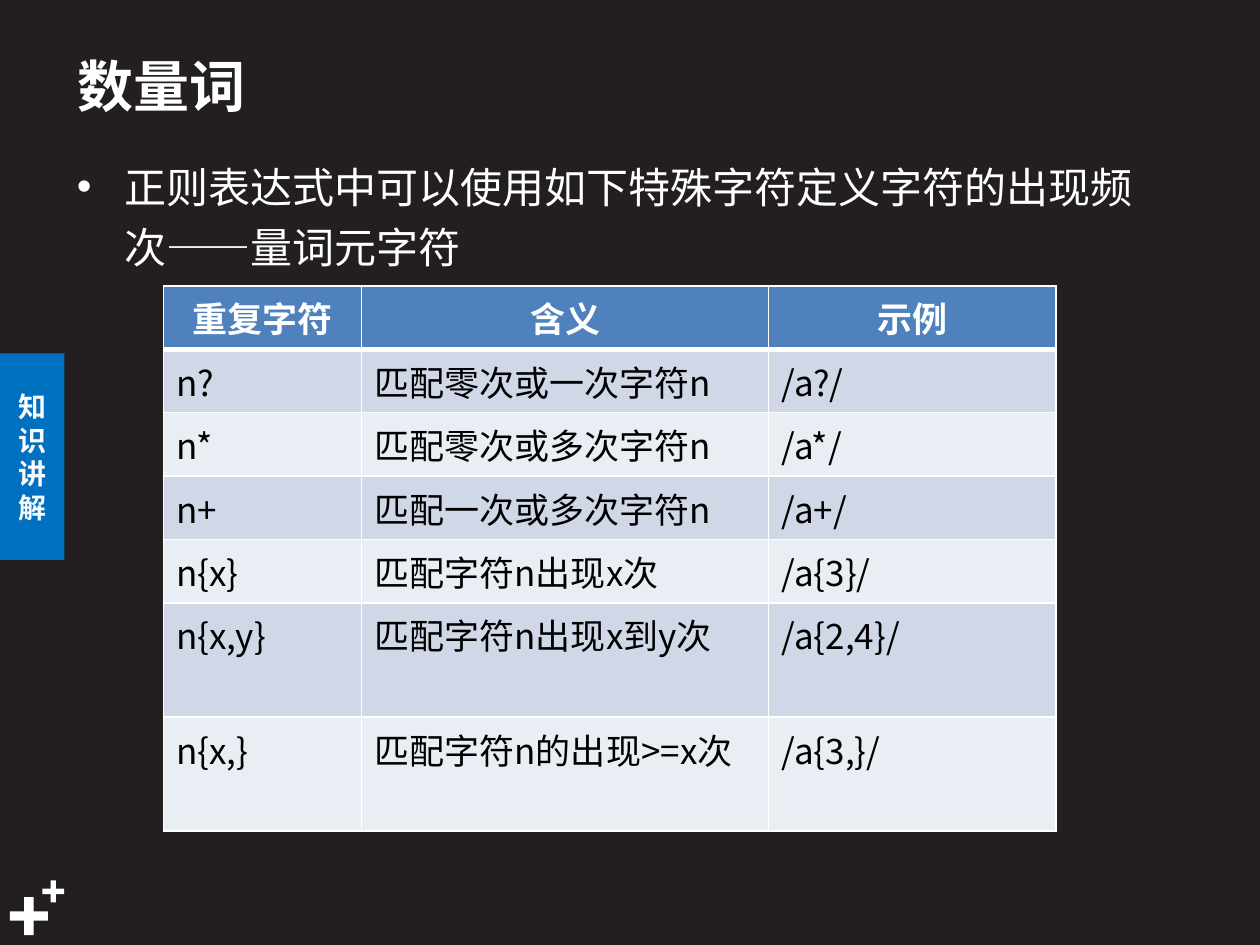
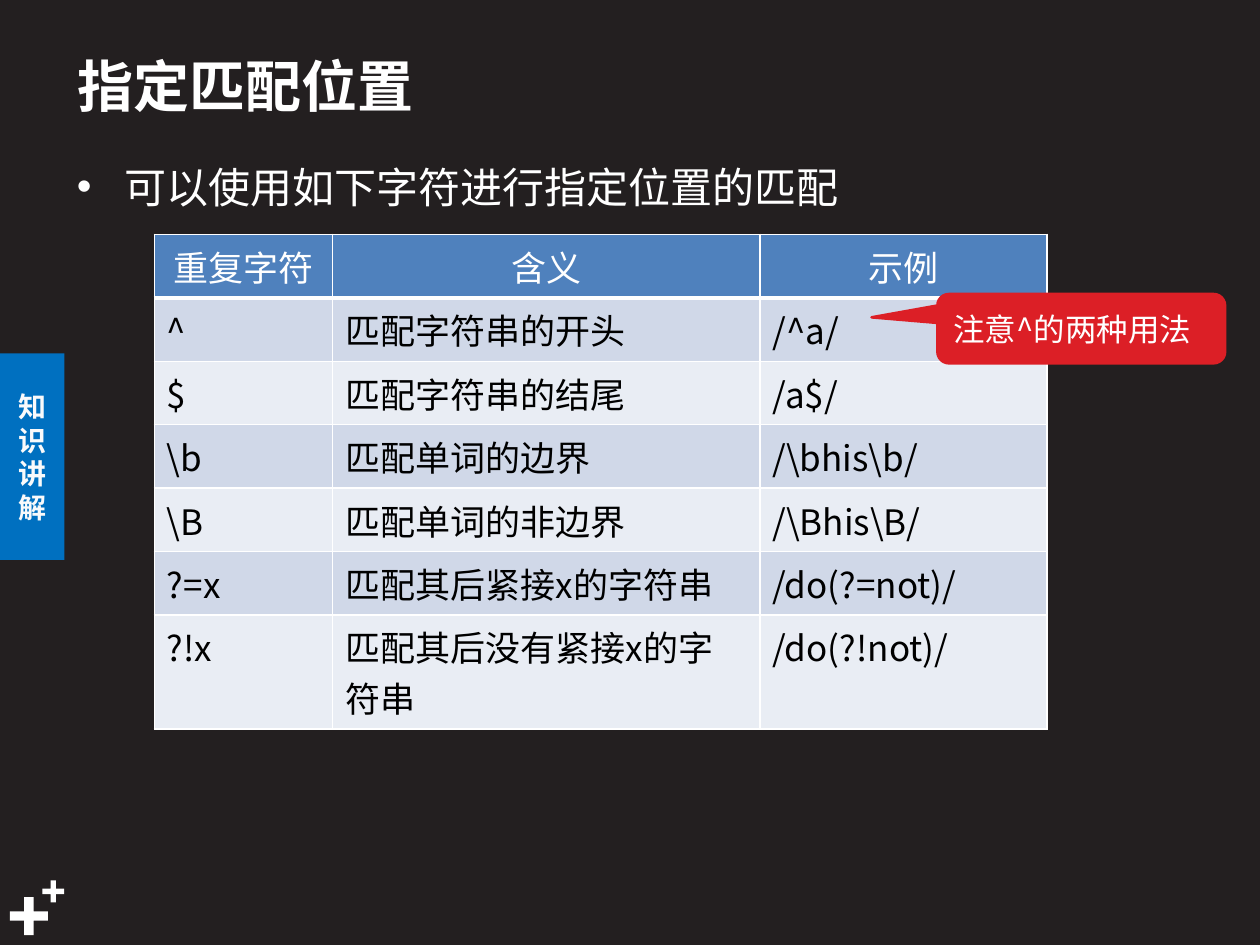
import pptx
import pptx.dml.color
import pptx.enum.shapes
import pptx.enum.text
import pptx.oxml
import pptx.oxml.ns
import pptx.util

Pt = pptx.util.Pt
RGBColor = pptx.dml.color.RGBColor
MSO_SHAPE = pptx.enum.shapes.MSO_SHAPE
PP_ALIGN = pptx.enum.text.PP_ALIGN
MSO_ANCHOR = pptx.enum.text.MSO_ANCHOR

FONT = "Noto Sans CJK SC"
DARK = RGBColor(0x23, 0x1F, 0x20)
WHITE = RGBColor(0xFF, 0xFF, 0xFF)
BLACK = RGBColor(0, 0, 0)
TAB_BLUE = RGBColor(0x00, 0x70, 0xC0)
TAB_TEXT = RGBColor(0xF9, 0xFA, 0xFB)
HEADER_BLUE = RGBColor(0x4F, 0x81, 0xBD)
BANDS = (RGBColor(0xD0, 0xD8, 0xE8), RGBColor(0xE9, 0xED, 0xF4))
RED = RGBColor(0xDC, 0x1F, 0x26)

TAB_BOX = (0, 202, 36.8, 118)
PLUS_BOXES = ((5.6, 512.6, 21.8, 21.8), (24.2, 503.1, 12.5, 12.5))
TITLE_BOX = (37.1, 20.4, 532.8, 56.2)
BULLET_BOX = (36.8, 82.8, 635, 77)
BULLET_INDENT = 27
ROW_HEIGHT = 36.25
TWO_LINE_ROW_HEIGHT = 65.2
HEADINGS = ("重复字符", "含义", "示例")

QUANTIFIERS = (
    ("n?", "匹配零次或一次字符n", "/a?/"),
    ("n*", "匹配零次或多次字符n", "/a*/"),
    ("n+", "匹配一次或多次字符n", "/a+/"),
    ("n{x}", "匹配字符n出现x次", "/a{3}/"),
    ("n{x,y}", "匹配字符n出现x到y次", "/a{2,4}/"),
    ("n{x,}", "匹配字符n的出现>=x次", "/a{3,}/"),
)
POSITIONS = (
    ("^", "匹配字符串的开头", "/^a/"),
    ("$", "匹配字符串的结尾", "/a$/"),
    ("\\b", "匹配单词的边界", "/\\bhis\\b/"),
    ("\\B", "匹配单词的非边界", "/\\Bhis\\B/"),
    ("?=x", "匹配其后紧接x的字符串", "/do(?=not)/"),
    ("?!x", "匹配其后没有紧接x的字符串", "/do(?!not)/"),
)


def points(box):
    return [Pt(length) for length in box]


def write(frame, text, size, color, bold=False, align=PP_ALIGN.LEFT):
    frame.word_wrap = True
    frame.text = text
    para = frame.paragraphs[0]
    para.alignment = align
    for span in para.runs:
        span.font.name = FONT
        span.font.size = Pt(size)
        span.font.bold = bold
        span.font.color.rgb = color
        east_asian = pptx.oxml.parse_xml(
            f'<a:ea {pptx.oxml.ns.nsdecls("a")} typeface="{FONT}"/>')
        span.font._element.append(east_asian)
    return para


def add_block(page, kind, box, color):
    """Add a preset shape filled with one colour, without outline or shadow."""
    block = page.shapes.add_shape(kind, *points(box))
    block.shadow.inherit = False
    block.fill.solid()
    block.fill.fore_color.rgb = color
    block.line.fill.background()
    return block


def add_frame(page):
    """Add the side tab and the corner ornament that every page carries."""
    for box in PLUS_BOXES:
        plus = add_block(page, MSO_SHAPE.CROSS, box, WHITE)
        plus.adjustments[0] = 0.378
    tab = add_block(page, MSO_SHAPE.RECTANGLE, TAB_BOX, TAB_BLUE)
    tab.text_frame.vertical_anchor = MSO_ANCHOR.MIDDLE
    write(tab.text_frame, "知识讲解", 16, TAB_TEXT, True, PP_ALIGN.CENTER)


def add_title(page, text, box):
    frame = page.shapes.add_textbox(*points(box)).text_frame
    frame.vertical_anchor = MSO_ANCHOR.MIDDLE
    write(frame, text, 32, WHITE, bold=True)


def add_bullet(page, text, box):
    frame = page.shapes.add_textbox(*points(box)).text_frame
    para = write(frame, text, 24, WHITE)
    para.line_spacing = 1.2
    properties = para._p.get_or_add_pPr()
    properties.set("marL", str(Pt(BULLET_INDENT)))
    properties.set("indent", str(-Pt(BULLET_INDENT)))
    for tag, name, value in (("a:buFont", "typeface", "Arial"), ("a:buChar", "char", "•")):
        properties.append(pptx.oxml.parse_xml(
            f'<{tag} {pptx.oxml.ns.nsdecls("a")} {name}="{value}"/>'))


def set_borders(cell, top, bottom):
    properties = cell._tc.get_or_add_tcPr()
    for side, width in (("L", 1), ("R", 1), ("T", top), ("B", bottom)):
        properties.append(pptx.oxml.parse_xml(
            f'<a:ln{side} {pptx.oxml.ns.nsdecls("a")} w="{Pt(width)}">'
            f'<a:solidFill><a:srgbClr val="{WHITE}"/></a:solidFill></a:ln{side}>'))


def add_syntax_table(page, entries, origin, widths, two_line_rows, bold_header):
    """Add a table whose last two_line_rows rows hold wrapped text."""
    rows = (HEADINGS,) + entries
    heights = ([ROW_HEIGHT] * (len(rows) - two_line_rows)
               + [TWO_LINE_ROW_HEIGHT] * two_line_rows)
    box = (*origin, sum(widths), sum(heights))
    table = page.shapes.add_table(len(rows), len(widths), *points(box)).table
    table.horz_banding = False
    for column, width in zip(table.columns, widths):
        column.width = Pt(width)
    for row_index, (texts, height) in enumerate(zip(rows, heights)):
        header = row_index == 0
        table.rows[row_index].height = Pt(height)
        for column_index, text in enumerate(texts):
            cell = table.cell(row_index, column_index)
            set_borders(cell, 3 if row_index == 1 else 1, 3 if header else 1)
            cell.fill.solid()
            cell.fill.fore_color.rgb = HEADER_BLUE if header else BANDS[(row_index - 1) % 2]
            write(cell.text_frame, text, 20, WHITE if header else BLACK,
                  header and bold_header, PP_ALIGN.CENTER if header else PP_ALIGN.LEFT)


def add_callout(page, text, box):
    callout = add_block(page, MSO_SHAPE.ROUNDED_RECTANGULAR_CALLOUT, box, RED)
    callout.line.color.rgb = RED
    callout.line.width = Pt(1.5)
    for index, value in enumerate((-0.729, -0.163, 0.167)):
        callout.adjustments[index] = value
    callout.text_frame.vertical_anchor = MSO_ANCHOR.MIDDLE
    write(callout.text_frame, text, 18, WHITE)


def add_topic_page(deck, title, bullet):
    page = deck.slides.add_slide(deck.slide_layouts[6])
    add_frame(page)
    add_title(page, title, TITLE_BOX)
    add_bullet(page, bullet, BULLET_BOX)
    return page


def main():
    deck = pptx.Presentation()
    deck.slide_width, deck.slide_height = Pt(720), Pt(540)
    background = deck.slide_master.background.fill
    background.solid()
    background.fore_color.rgb = DARK

    page = add_topic_page(
        deck, "数量词", "正则表达式中可以使用如下特殊字符定义字符的出现频次——量词元字符")
    add_syntax_table(page, QUANTIFIERS, (93.4, 163.4), (113.3, 232.6, 164.2), 2, True)

    page = add_topic_page(deck, "指定匹配位置", "可以使用如下字符进行指定位置的匹配")
    add_syntax_table(page, POSITIONS, (88.2, 134), (101.8, 244.2, 164.2), 1, False)
    add_callout(page, "注意^的两种用法", (535.7, 168, 164.4, 39.6))

    deck.save("out.pptx")


if __name__ == "__main__":
    main()
